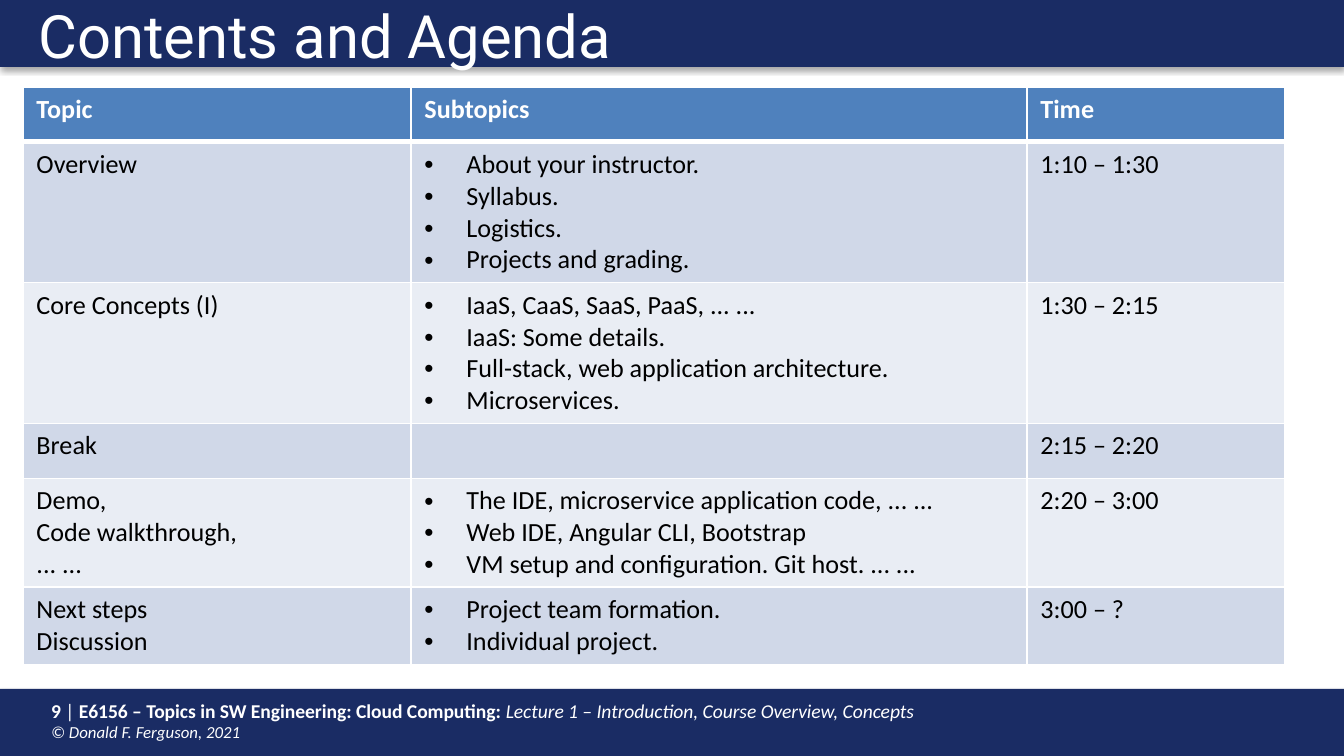
from dataclasses import dataclass

from lxml import etree
from pptx import Presentation
from pptx.dml.color import RGBColor
from pptx.enum.shapes import MSO_SHAPE as Shape
from pptx.enum.text import MSO_ANCHOR as Anchor, MSO_AUTO_SIZE as AutoSize, PP_ALIGN as Align
from pptx.oxml.ns import qn
from pptx.util import Pt

PX = 9144000 / 1344  # EMU in one px


@dataclass(frozen=True)
class Theme:
    navy: str = "1A2C64"
    header: str = "4F81BD"
    odd_row: str = "D0D8E8"
    even_row: str = "E9EDF4"
    white: str = "FFFFFF"
    black: str = "000000"
    title_font: str = "Roboto"
    body_font: str = "Calibri"
    title_size: float = 32
    table_size: float = 14
    footer_size: float = 10.5
    copyright_size: float = 9


THEME = Theme()

COLUMNS = [388, 616, 258]
ROW_HEIGHT = 55
HEADINGS = ["Topic", "Subtopics", "Time"]
AGENDA = [
    (["Overview"],
     ["About your instructor.", "Syllabus.", "Logistics.", "Projects and grading."],
     ["1:10 – 1:30"]),
    (["Core Concepts (I)"],
     ["IaaS, CaaS, SaaS, PaaS, ... ...", "IaaS: Some details.",
      "Full-stack, web application architecture.", "Microservices."],
     ["1:30 – 2:15"]),
    (["Break"], [], ["2:15 – 2:20"]),
    (["Demo,", "Code walkthrough,", "... ..."],
     ["The IDE, microservice application code, ... ...",
      "Web IDE, Angular CLI, Bootstrap",
      "VM setup and configuration. Git host. ... ..."],
     ["2:20 – 3:00"]),
    (["Next steps", "Discussion"],
     ["Project team formation.", "Individual project."],
     ["3:00 – ?"]),
]


def px(value):
    return round(value * PX)


def color(value):
    return RGBColor.from_string(value)


def add_text(para, text, size, font=THEME.body_font, ink=THEME.white, bold=False, italic=False):
    span = para.add_run()
    span.text = text
    span.font.name, span.font.size = font, Pt(size)
    span.font.bold, span.font.italic = bold, italic
    span.font.color.rgb = color(ink)


def add_node(parent, tag, **attributes):
    return etree.SubElement(parent, qn(tag), {name: str(value) for name, value in attributes.items()})


def add_band(page, box):
    """Full-width bar with a soft shadow below it."""
    band = page.shapes.add_shape(Shape.RECTANGLE, *map(px, box))
    band.fill.solid()
    band.fill.fore_color.rgb = color(THEME.navy)
    band.line.fill.background()
    band.shadow.inherit = False
    effects = band._element.spPr.find(qn("a:effectLst"))
    shadow = add_node(effects, "a:outerShdw", blurRad=Pt(3.1), dist=Pt(1.8),
                      dir=90 * 60000, algn="t", rotWithShape=0)
    shade = add_node(shadow, "a:srgbClr", val=THEME.black)
    add_node(shade, "a:alpha", val=35000)


def add_header(page, box):
    left, top, width, height = box
    add_band(page, box)
    title = page.shapes.title
    title.left, title.top = px(left + 25), px(top)
    title.width, title.height = px(width - 70), px(height - 3)
    frame = title.text_frame
    frame.auto_size = AutoSize.NONE
    frame.vertical_anchor = Anchor.TOP
    para = frame.paragraphs[0]
    para.alignment, para.line_spacing = Align.LEFT, 0.9
    add_text(para, "Contents and Agenda", THEME.title_size, font=THEME.title_font)
    # Bring the title in front of its band
    title._element.getparent().append(title._element)


def add_footer(page, box):
    left, top, width, height = box
    add_band(page, box)
    note = page.shapes.add_textbox(px(left + 38), px(top + 3), px(width - 347), px(height - 9))
    note.text_frame.word_wrap = True
    para = note.text_frame.paragraphs[0]
    size = THEME.footer_size
    add_text(para, "9 ", size, bold=True)
    add_text(para, "|", size)
    add_text(para, " E6156 – Topics in SW Engineering: Cloud Computing: ", size, bold=True)
    add_text(para, "Lecture 1 – Introduction, Course Overview, Concepts", size, italic=True)
    para.add_line_break()
    add_text(para, "© Donald F. Ferguson, 2021", THEME.copyright_size, italic=True)


def add_bullet(para):
    properties = para._p.get_or_add_pPr()
    properties.set("marL", str(px(42)))
    properties.set("indent", str(px(-42)))
    add_node(properties, "a:buFont", typeface="Arial")
    add_node(properties, "a:buChar", char="•")


def set_borders(cell, top=1, bottom=1):
    properties = cell._tc.get_or_add_tcPr()
    for side, width in (("L", 1), ("R", 1), ("T", top), ("B", bottom)):
        line = add_node(properties, f"a:ln{side}", w=Pt(width))
        add_node(add_node(line, "a:solidFill"), "a:srgbClr", val=THEME.white)


def fill_cell(cell, lines, fill, bulleted=False, **text_format):
    cell.fill.solid()
    cell.fill.fore_color.rgb = color(fill)
    frame = cell.text_frame
    for index, line in enumerate(lines):
        para = frame.add_paragraph() if index else frame.paragraphs[0]
        if bulleted:
            add_bullet(para)
        add_text(para, line, THEME.table_size, **text_format)


def add_agenda(page, box):
    holder = page.shapes.add_table(len(AGENDA) + 1, len(COLUMNS), *map(px, box))
    table = holder.table
    for column, width in zip(table.columns, COLUMNS):
        column.width = px(width)
    # Rows grow from this height to hold their text
    for row in table.rows:
        row.height = px(ROW_HEIGHT)
    holder.height = px(box[3])

    for index, heading in enumerate(HEADINGS):
        cell = table.cell(0, index)
        set_borders(cell, bottom=3)
        fill_cell(cell, [heading], THEME.header, bold=True)
    for number, topic in enumerate(AGENDA, start=1):
        fill = THEME.odd_row if number % 2 else THEME.even_row
        for index, lines in enumerate(topic):
            cell = table.cell(number, index)
            set_borders(cell, top=3 if number == 1 else 1)
            fill_cell(cell, lines, fill, bulleted=index == 1, ink=THEME.black)


def main():
    deck = Presentation()
    deck.slide_width, deck.slide_height = px(1344), px(756)
    page = deck.slides.add_slide(deck.slide_layouts[5])
    add_footer(page, (0, 689, 1344, 67))
    add_header(page, (0, 0, 1344, 67))
    add_agenda(page, (23, 87, 1262, 570))
    deck.save("out.pptx")


if __name__ == "__main__":
    main()
